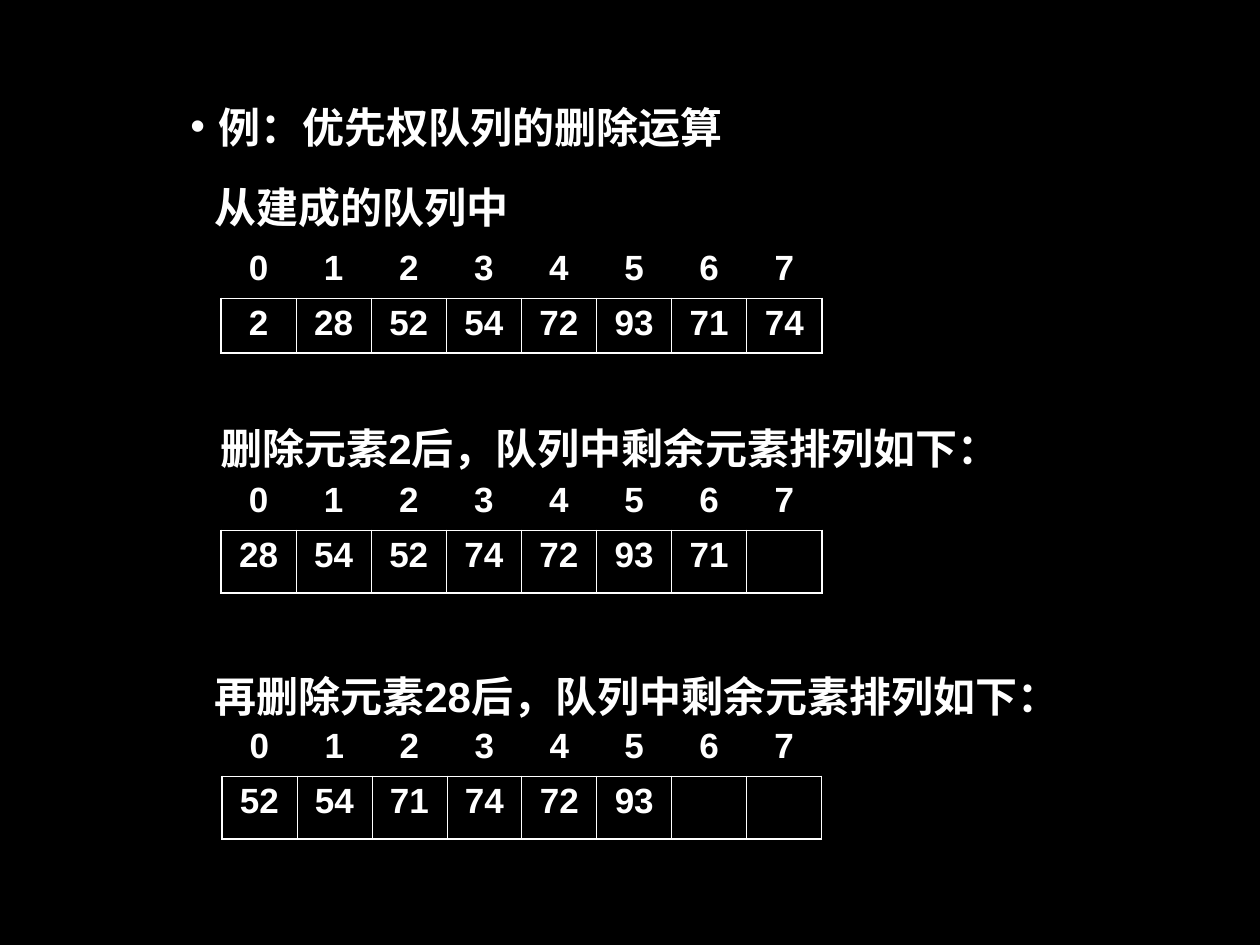
from lxml import etree
from pptx import Presentation
from pptx.dml.color import RGBColor
from pptx.enum.text import MSO_AUTO_SIZE as AutoSize, PP_ALIGN as Align
from pptx.oxml.ns import qn
from pptx.util import Emu, Pt

SCALE = 914400 // 126  # EMU in one px
WHITE = RGBColor(0xFF, 0xFF, 0xFF)
BLACK = RGBColor(0x00, 0x00, 0x00)
FONT = "Arial"
NO_STYLE = "{2D5ABB26-0587-4C30-8999-92F81FD0307C}"
THIN, THICK = 0.45, 1.08
SLOTS = 8
INDEX_ROW = 55

# text, left, top, width, bullet indent
HEADINGS = [
    ("例：优先权队列的删除运算", 178, 95, 942, 28),
    ("从建成的队列中", 202, 175, 900, 0),
    ("删除元素2后，队列中剩余元素排列如下：", 208, 416, 930, 0),
    ("再删除元素28后，队列中剩余元素排列如下：", 202, 664, 930, 0),
]
# values, left, top, width, height of the value row
QUEUES = [
    ([2, 28, 52, 54, 72, 93, 71, 74], 221, 243, 601, 55),
    ([28, 54, 52, 74, 72, 93, 71], 221, 475, 601, 63),
    ([52, 54, 71, 74, 72, 93], 222, 721, 600, 63),
]


def px(length):
    return Emu(length * SCALE)


def write(frame, text, size=24, align=Align.LEFT, before=15, indent=0):
    para = frame.paragraphs[0]
    para.alignment = align
    para.space_before = Pt(before)
    span = para.add_run()
    span.text = text
    font = span.font
    font.name, font.size, font.bold = FONT, Pt(size), True
    font.color.rgb = WHITE
    etree.SubElement(font._element, qn("a:ea"), typeface=FONT)
    if indent:
        props = para._p.get_or_add_pPr()
        props.set("marL", str(px(indent)))
        props.set("indent", str(-px(indent)))
        color = etree.SubElement(props, qn("a:buClr"))
        etree.SubElement(color, qn("a:srgbClr"), val=str(WHITE))
        etree.SubElement(props, qn("a:buFont"), typeface=FONT)
        etree.SubElement(props, qn("a:buChar"), char="•")


def set_borders(cell, **widths):
    """Draw the given sides (L, R, T, B) in white, widths in points."""
    props = cell._tc.get_or_add_tcPr()
    for place, side in enumerate(s for s in "LRTB" if s in widths):
        line = etree.Element(qn(f"a:ln{side}"), w=str(Pt(widths[side])))
        fill = etree.SubElement(line, qn("a:solidFill"))
        etree.SubElement(fill, qn("a:srgbClr"), val=str(WHITE))
        props.insert(place, line)


def add_heading(page, text, left, top, width, indent):
    box = page.shapes.add_textbox(px(left), px(top), px(width), px(63))
    box.text_frame.word_wrap = True
    box.text_frame.auto_size = AutoSize.SHAPE_TO_FIT_TEXT
    write(box.text_frame, text, indent=indent)


def add_queue(page, values, left, top, width, value_row):
    frame = page.shapes.add_table(2, SLOTS, px(left), px(top), px(width),
                                  px(INDEX_ROW + value_row))
    table = frame.table
    table.first_row = table.horz_banding = False
    table._tbl.tblPr.find(qn("a:tableStyleId")).text = NO_STYLE
    for row, height in zip(table.rows, (INDEX_ROW, value_row)):
        row.height = px(height)
    for slot in range(SLOTS):
        index_cell, value_cell = table.cell(0, slot), table.cell(1, slot)
        for cell in (index_cell, value_cell):
            cell.fill.background()
        write(index_cell.text_frame, str(slot), size=20, align=Align.CENTER, before=5)
        if slot < len(values):
            write(value_cell.text_frame, str(values[slot]), size=20,
                  align=Align.CENTER, before=5)
        set_borders(index_cell, B=THIN)
        set_borders(value_cell, T=THIN, B=THICK,
                    L=THICK if slot == 0 else THIN,
                    R=THICK if slot == SLOTS - 1 else THIN)


def main():
    deck = Presentation()
    deck.slide_width, deck.slide_height = px(1260), px(945)
    page = deck.slides.add_slide(deck.slide_layouts[6])
    page.background.fill.solid()
    page.background.fill.fore_color.rgb = BLACK
    # Queue states
    for queue in QUEUES:
        add_queue(page, *queue)
    # Headings above them
    for heading in HEADINGS:
        add_heading(page, *heading)
    deck.save("out.pptx")


if __name__ == "__main__":
    main()
